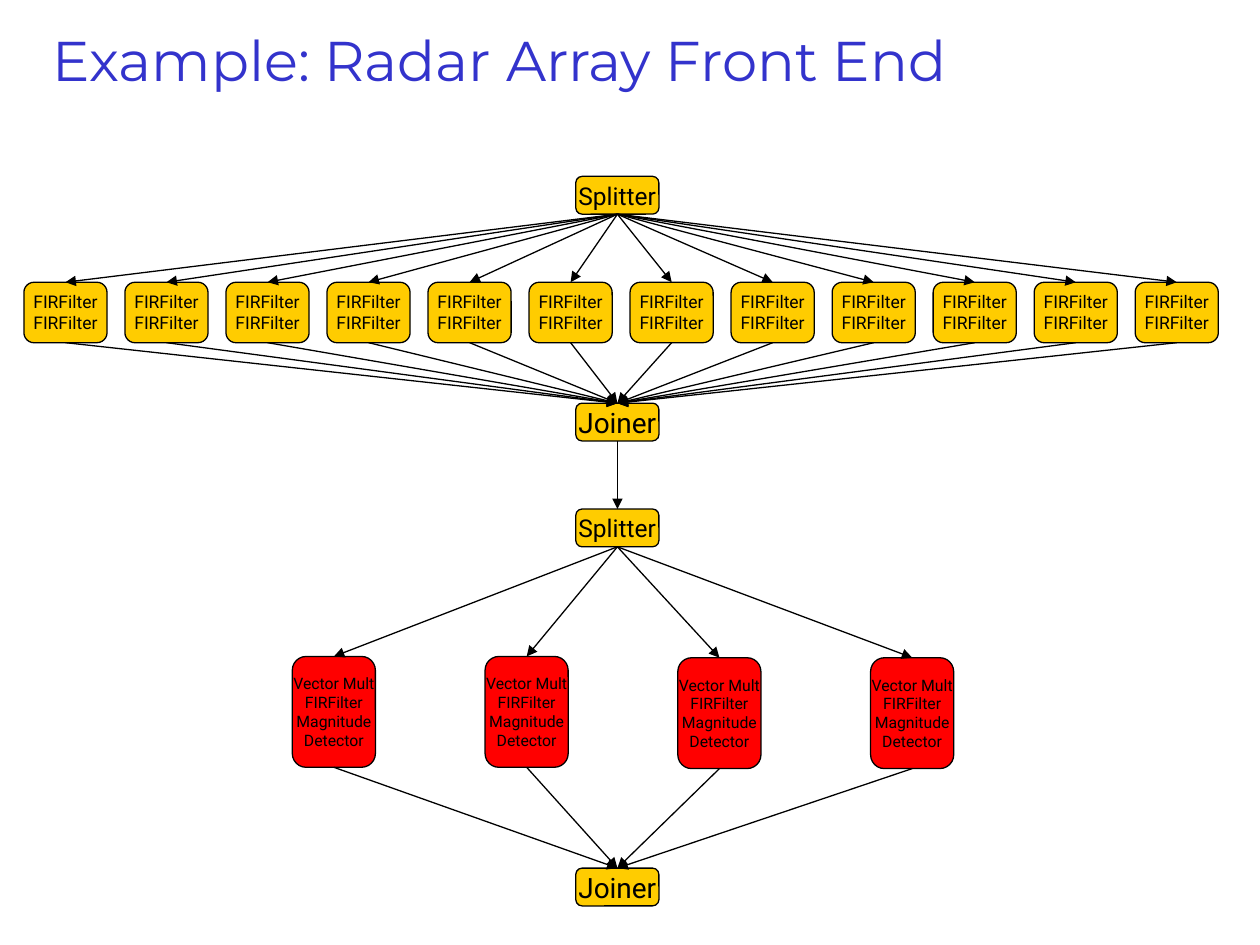
from lxml import etree
from pptx import Presentation
from pptx import util as u
from pptx.dml import color
from pptx.enum import shapes, text
from pptx.oxml import ns

YELLOW, RED, BLACK, BLUE = "FFCC00", "FF0000", "000000", "3333CC"
BOX_WIDTH = 0.66
HUB_LEFT, HUB_HEIGHT = 4.57, 0.3
FILTER_COUNT, FILTER_FIRST, FILTER_LAST = 12, 0.19, 9.01
DETECTOR_FIRST, DETECTOR_PITCH = 2.32, 1.53
DETECTOR_TOPS = [5.21, 5.21, 5.22, 5.22]
BOTTOM, TOP = 2, 0


def rgb(value):
    return color.RGBColor.from_string(value)


class Diagram:
    def __init__(self, slide):
        self.slide = slide
        self.title_font = "Montserrat"
        self.label_font = "Roboto"
        self.line_width = u.Pt(0.75)

    def label(self, frame, content, font_name, size, ink, alignment):
        frame.text = content
        frame.vertical_anchor = text.MSO_ANCHOR.MIDDLE
        for paragraph in frame.paragraphs:
            paragraph.alignment = alignment
            for run in paragraph.runs:
                run.font.name = font_name
                run.font.size = u.Pt(size)
                run.font.color.rgb = rgb(ink)

    def title(self, content, left, top, width, height):
        shape = self.slide.shapes.add_textbox(
            u.Inches(left), u.Inches(top), u.Inches(width), u.Inches(height))
        shape.text_frame.word_wrap = True
        self.label(shape.text_frame, content, self.title_font, 32, BLUE,
                   text.PP_ALIGN.LEFT)

    def box(self, content, left, top, height, size, fill=YELLOW):
        shape = self.slide.shapes.add_shape(
            shapes.MSO_SHAPE.ROUNDED_RECTANGLE, u.Inches(left), u.Inches(top),
            u.Inches(BOX_WIDTH), u.Inches(height))
        shape.shadow.inherit = False
        shape.fill.solid()
        shape.fill.fore_color.rgb = rgb(fill)
        shape.line.color.rgb = rgb(BLACK)
        shape.line.width = self.line_width
        shape.text_frame.word_wrap = False
        self.label(shape.text_frame, content, self.label_font, size, BLACK,
                   text.PP_ALIGN.CENTER)
        return shape

    def splitter(self, top):
        return self.box("Splitter", HUB_LEFT, top, HUB_HEIGHT, 14)

    def joiner(self, top):
        return self.box("Joiner", HUB_LEFT, top, HUB_HEIGHT, 16)

    def arrow(self, source, target):
        connector = self.slide.shapes.add_connector(
            shapes.MSO_CONNECTOR.STRAIGHT, 0, 0, 0, 0)
        connector.begin_connect(source, BOTTOM)
        connector.end_connect(target, TOP)
        connector.line.color.rgb = rgb(BLACK)
        connector.line.width = self.line_width
        properties = connector._element.spPr
        etree.SubElement(properties.find(ns.qn("a:ln")),
                         ns.qn("a:tailEnd"), type="triangle")
        etree.SubElement(properties, ns.qn("a:effectLst"))

    def fan(self, splitter, branches, joiner):
        for branch in branches:
            self.arrow(splitter, branch)
            self.arrow(branch, joiner)


def main():
    presentation = Presentation()
    presentation.slide_width = u.Inches(10)
    presentation.slide_height = u.Inches(7.5)
    slide = presentation.slides.add_slide(presentation.slide_layouts[6])
    diagram = Diagram(slide)

    diagram.title("Example: Radar Array Front End", 0.32, 0.14, 9.52, 0.66)

    filter_splitter = diagram.splitter(1.4)
    filter_pitch = (FILTER_LAST - FILTER_FIRST) / (FILTER_COUNT - 1)
    filters = [
        diagram.box("FIRFilter\nFIRFilter", FILTER_FIRST + index * filter_pitch,
                    2.24, 0.48, 10)
        for index in range(FILTER_COUNT)
    ]
    filter_joiner = diagram.joiner(3.2)

    detector_splitter = diagram.splitter(4.04)
    detectors = [
        diagram.box("Vector Mult\nFIRFilter\nMagnitude\nDetector",
                    DETECTOR_FIRST + index * DETECTOR_PITCH, top, 0.88, 9, RED)
        for index, top in enumerate(DETECTOR_TOPS)
    ]
    detector_joiner = diagram.joiner(6.89)

    diagram.fan(filter_splitter, filters, filter_joiner)
    diagram.arrow(filter_joiner, detector_splitter)
    diagram.fan(detector_splitter, detectors, detector_joiner)

    presentation.save("out.pptx")


if __name__ == "__main__":
    main()
